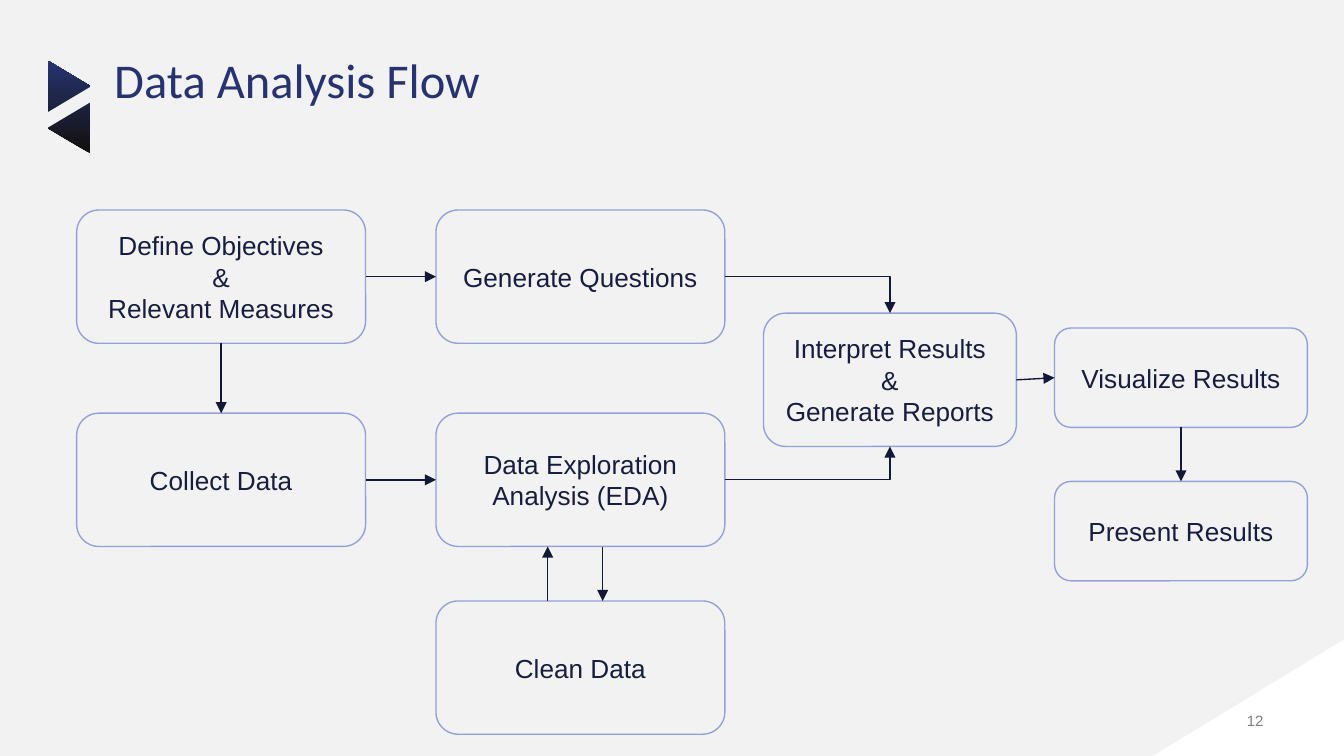
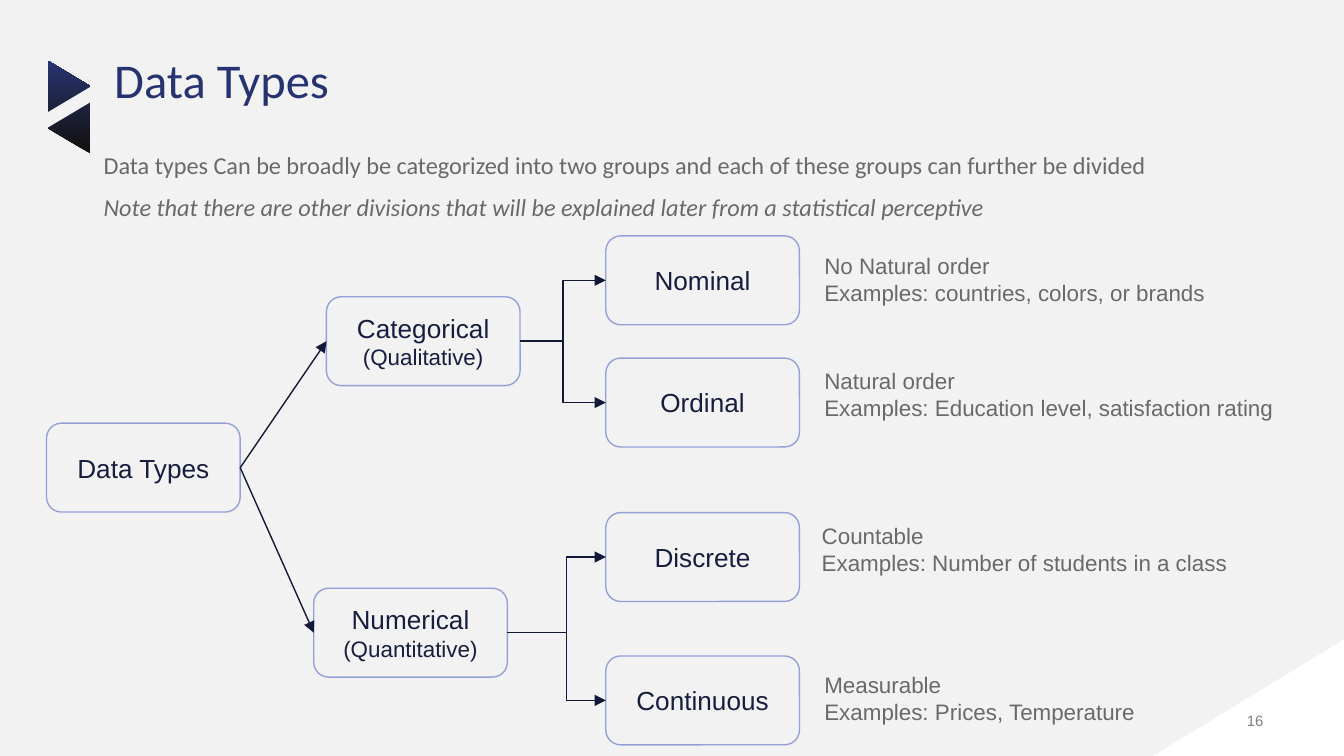
from lxml import etree
from pptx import Presentation
from pptx.dml.color import RGBColor
from pptx.enum.shapes import MSO_CONNECTOR, MSO_SHAPE
from pptx.enum.text import MSO_ANCHOR, PP_ALIGN
from pptx.oxml.ns import qn
from pptx.util import Cm, Pt

STRAIGHT, ELBOW = MSO_CONNECTOR.STRAIGHT, MSO_CONNECTOR.ELBOW
ROUND_RECT, RECT = MSO_SHAPE.ROUNDED_RECTANGLE, MSO_SHAPE.RECTANGLE
PARALLELOGRAM, CORNER = MSO_SHAPE.PARALLELOGRAM, MSO_SHAPE.RIGHT_TRIANGLE
LEFT, CENTER, RIGHT = PP_ALIGN.LEFT, PP_ALIGN.CENTER, PP_ALIGN.RIGHT
TOP, MIDDLE, BOTTOM = MSO_ANCHOR.TOP, MSO_ANCHOR.MIDDLE, MSO_ANCHOR.BOTTOM
SITE_TOP, SITE_LEFT, SITE_BOTTOM, SITE_RIGHT = range(4)

PAPER = RGBColor(0xF2, 0xF2, 0xF2)
WHITE = RGBColor(0xFF, 0xFF, 0xFF)
BLACK = RGBColor(0x12, 0x10, 0x0C)
BLUE = RGBColor(0x27, 0x34, 0x70)
TITLE = RGBColor(0x27, 0x33, 0x70)
BORDER = RGBColor(0x94, 0xA0, 0xDA)
INK = RGBColor(0x16, 0x1D, 0x3F)
ARROW = RGBColor(0x12, 0x18, 0x38)
GREY = RGBColor(0x69, 0x69, 0x69)
PAGE = RGBColor(0x7F, 0x7F, 0x7F)
SLIDE_W, SLIDE_H = 25.4, 14.29


# Text
def write(tf, lines, size, color, font="Arial", align=LEFT, anchor=TOP):
    """Each line is a string, or a (string, size, italic) tuple."""
    tf.word_wrap = True
    tf.vertical_anchor = anchor
    for i, line in enumerate(lines):
        text, pt, italic = (line, size, False) if isinstance(line, str) else line
        p = tf.paragraphs[0] if i == 0 else tf.add_paragraph()
        p.alignment = align
        r = p.add_run()
        r.text = text
        r.font.name, r.font.size, r.font.color.rgb = font, Pt(pt), color
        if italic:
            r.font.italic = True


def textbox(s, x, y, w, h, lines, size, color, inset=True, **style):
    tf = s.shapes.add_textbox(Cm(x), Cm(y), Cm(w), Cm(h)).text_frame
    if not inset:
        tf.margin_left = tf.margin_right = tf.margin_top = tf.margin_bottom = 0
    write(tf, lines, size, color, **style)
    return tf


# Shapes and arrows
def plain_shape(s, kind, x, y, w, h, color=None):
    sp = s.shapes.add_shape(kind, Cm(x), Cm(y), Cm(w), Cm(h))
    sp.shadow.inherit = False
    sp.line.fill.background()
    if color is not None:
        sp.fill.solid()
        sp.fill.fore_color.rgb = color
    return sp


def node(s, x, y, w, h, *lines):
    sp = plain_shape(s, ROUND_RECT, x, y, w, h)
    sp.fill.background()
    sp.line.color.rgb, sp.line.width = BORDER, Pt(0.75)
    write(sp.text_frame, lines, 14, INK, align=CENTER, anchor=MIDDLE)
    return sp


def arrow(s, kind, x1, y1, x2, y2):
    c = s.shapes.add_connector(kind, x1, y1, x2, y2)
    c.line.color.rgb, c.line.width = ARROW, Pt(0.75)
    etree.SubElement(c.get_or_add_ln(), qn("a:tailEnd"), type="triangle")
    etree.SubElement(c.element.spPr, qn("a:effectLst"))
    return c


def join(s, a, site_a, b, site_b):
    c = arrow(s, STRAIGHT, 0, 0, 0, 0)
    c.begin_connect(a, site_a)
    c.end_connect(b, site_b)


def mid_y(sp):
    return sp.top + sp.height // 2


def corner_arrow(s, a, b, end_y):
    """One bend: from the right side of a to the middle of b at end_y."""
    c = arrow(s, ELBOW, a.left + a.width, mid_y(a), b.left + b.width // 2, end_y)
    c.element.spPr.find(qn("a:prstGeom")).set("prst", "bentConnector2")


def branch_arrow(s, a, b, trunk_x):
    """Two bends: from the right side of a to the left side of b."""
    start = a.left + a.width
    c = arrow(s, ELBOW, start, mid_y(a), b.left, mid_y(b))
    share = round((trunk_x - start) / (b.left - start) * 100000)
    av = c.element.spPr.find(qn("a:prstGeom")).find(qn("a:avLst"))
    etree.SubElement(av, qn("a:gd"), name="adj1", fmla=f"val {share}")


# Parts shared by all slides
def title_mark(s, x, y):
    band = plain_shape(s, PARALLELOGRAM, x, y, 1.75, 0.79)
    band.adjustments[0] = 0.6
    band.rotation = 90
    band.fill.gradient()
    band.fill.gradient_angle = 180
    for stop, color in zip(band.fill.gradient_stops, (BLACK, BLUE)):
        stop.color.rgb = color
    gap = plain_shape(s, RECT, x + 0.18, y + 0.27, 1.4, 0.25, PAPER)
    gap.rotation = 329.2


def new_slide(prs, title, number):
    s = prs.slides.add_slide(prs.slide_layouts[6])
    s.background.fill.solid()
    s.background.fill.fore_color.rgb = PAPER
    # Page corner
    corner = plain_shape(s, CORNER, SLIDE_W - 3.61, SLIDE_H - 2.2, 3.61, 2.2, WHITE)
    corner.element.spPr.xfrm.set("flipH", "1")
    textbox(s, 23.09, 13.46, 0.79, 0.33, [number], 8, PAGE,
            inset=False, align=RIGHT, anchor=BOTTOM)
    # Title
    title_mark(s, 0.43, 1.63)
    tf = textbox(s, 2.16, 1.07, 21.72, 1.9, [title], 26, TITLE,
                 inset=False, font="Calibri")
    tf.paragraphs[0].line_spacing = 0.9
    return s


# Slide: analysis flow
def analysis_flow(s, x, y):
    w, h = 5.46, 2.52
    col2, col3, col4 = x + 6.79, x + 12.98, x + 18.48
    row2, row3 = y + 3.84, y + 7.39
    end_w, end_h = 4.78, 1.88

    define = node(s, x, y, w, h, "Define Objectives", "&", "Relevant Measures")
    collect = node(s, x, row2, w, h, "Collect Data")
    questions = node(s, col2, y, w, h, "Generate Questions")
    explore = node(s, col2, row2, w, h, "Data Exploration Analysis (EDA)")
    clean = node(s, col2, row3, w, h, "Clean Data")
    interpret = node(s, col3, y + 1.95, end_w, h,
                     "Interpret Results", "&", "Generate Reports")
    visualize = node(s, col4, y + 2.23, end_w, end_h, "Visualize Results")
    present = node(s, col4, y + 5.13, end_w, end_h, "Present Results")

    for a, b in ((define, questions), (collect, explore), (interpret, visualize)):
        join(s, a, SITE_RIGHT, b, SITE_LEFT)
    for a, b in ((define, collect), (visualize, present)):
        join(s, a, SITE_BOTTOM, b, SITE_TOP)
    corner_arrow(s, questions, interpret, interpret.top)
    corner_arrow(s, explore, interpret, interpret.top + interpret.height)

    # Loop between exploring and cleaning
    center, bottom = explore.left + explore.width // 2, explore.top + explore.height
    down, up = center + Cm(0.42), center - Cm(0.62)
    arrow(s, STRAIGHT, down, bottom, down, clean.top)
    arrow(s, STRAIGHT, up, clean.top, up, bottom)


# Slide: data types
def intro(s, x, y):
    lines = ["Data types Can be broadly be categorized into two groups "
             "and each of these groups can further be divided",
             ("Note that there are other divisions that will be explained later "
              "from a statistical perceptive", 13, True)]
    tf = textbox(s, x, y, 22.58, 1.47, lines, 13, GREY, inset=False, font="Calibri")
    tf.margin_left = Cm(0.43)
    for p in tf.paragraphs:
        p.line_spacing = 1.1
    tf.paragraphs[1].space_before = Pt(5)


def type_tree(s, x, y):
    w, h = 3.66, 1.68
    leaf_x = x + 10.57
    # Group: name, subtitle, position, trunk, then leaves with their notes
    groups = [
        ("Categorical", "(Qualitative)", 5.29, 1.15, 9.76, [
            ("Nominal", 0, 14.45, 0.19, 9.5,
             "No Natural order", "Examples: countries, colors, or brands"),
            ("Ordinal", 2.31, 14.45, 2.35, 9.09,
             "Natural order", "Examples: Education level, satisfaction rating")]),
        ("Numerical", "(Quantitative)", 5.05, 6.66, 9.83, [
            ("Discrete", 5.23, 14.4, 5.29, 9.5,
             "Countable", "Examples: Number of students in a class"),
            ("Continuous", 7.94, 14.45, 8.11, 8,
             "Measurable", "Examples: Prices, Temperature")]),
    ]
    root = node(s, x, y + 3.54, w, h, "Data Types")
    for name, subtitle, gx, gy, trunk, leaves in groups:
        group = node(s, x + gx, y + gy, w, h, name, (subtitle, 12, False))
        join(s, root, SITE_RIGHT, group, SITE_LEFT)
        for leaf_name, leaf_y, note_x, note_y, note_w, *note in leaves:
            leaf = node(s, leaf_x, y + leaf_y, w, h, leaf_name)
            branch_arrow(s, group, leaf, Cm(x + trunk))
            textbox(s, x + note_x, y + note_y, note_w, 1.27, note, 12, GREY)


def main():
    prs = Presentation()
    prs.slide_width, prs.slide_height = Cm(SLIDE_W), Cm(SLIDE_H)

    s = new_slide(prs, "Data Analysis Flow", "12")
    analysis_flow(s, 1.45, 3.97)

    s = new_slide(prs, "Data Types", "16")
    intro(s, 1.53, 2.79)
    type_tree(s, 0.88, 4.46)

    prs.save("out.pptx")


if __name__ == "__main__":
    main()
